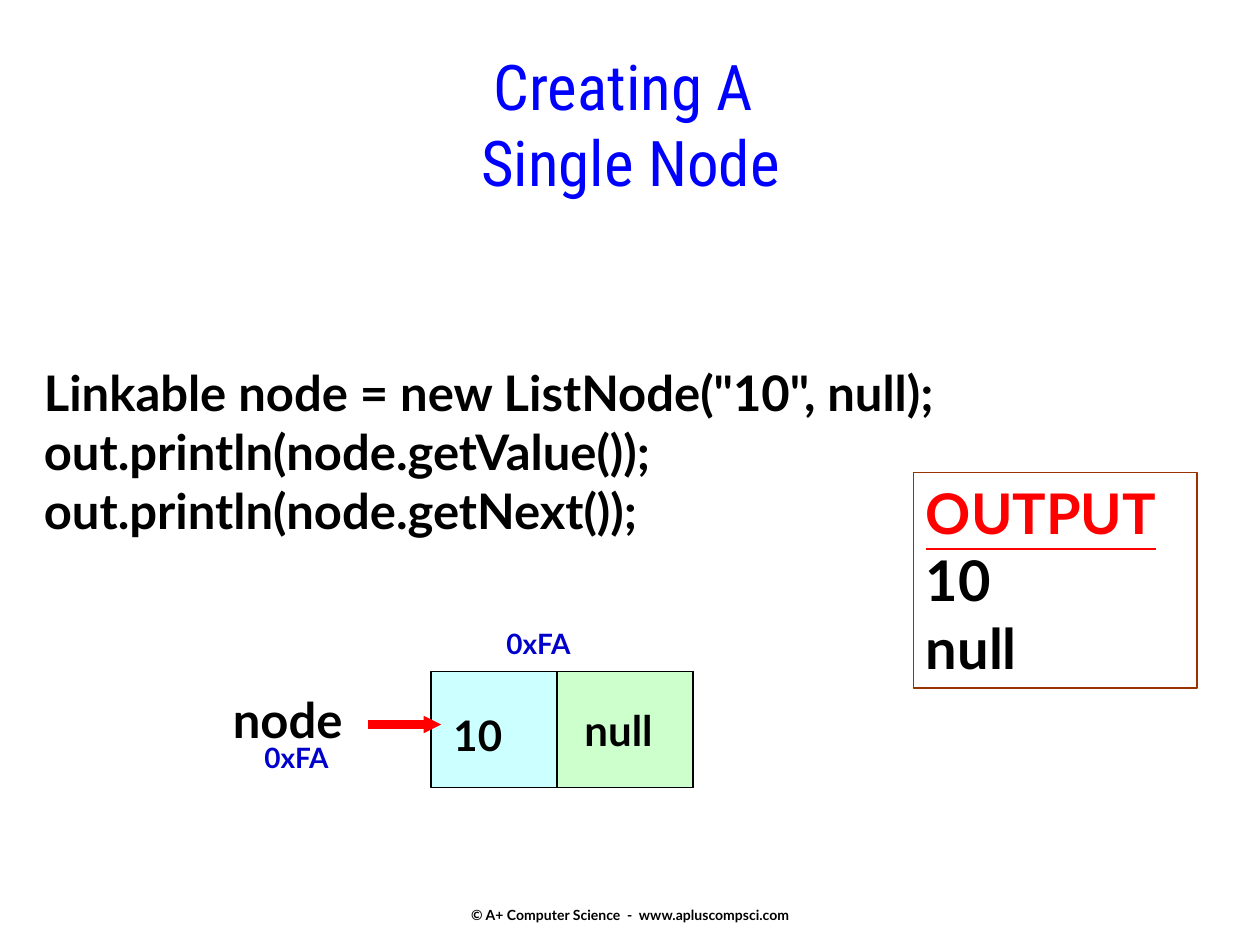
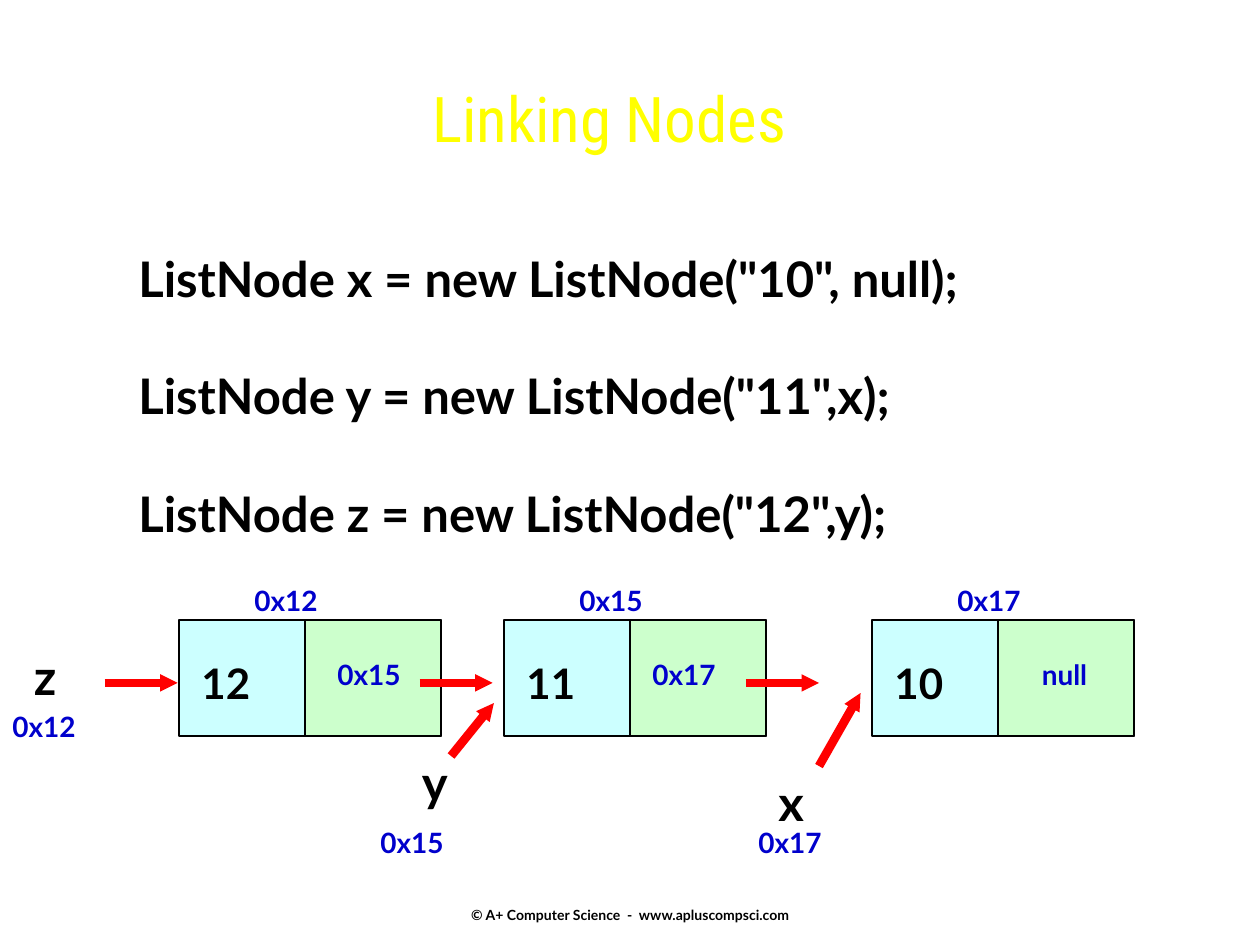
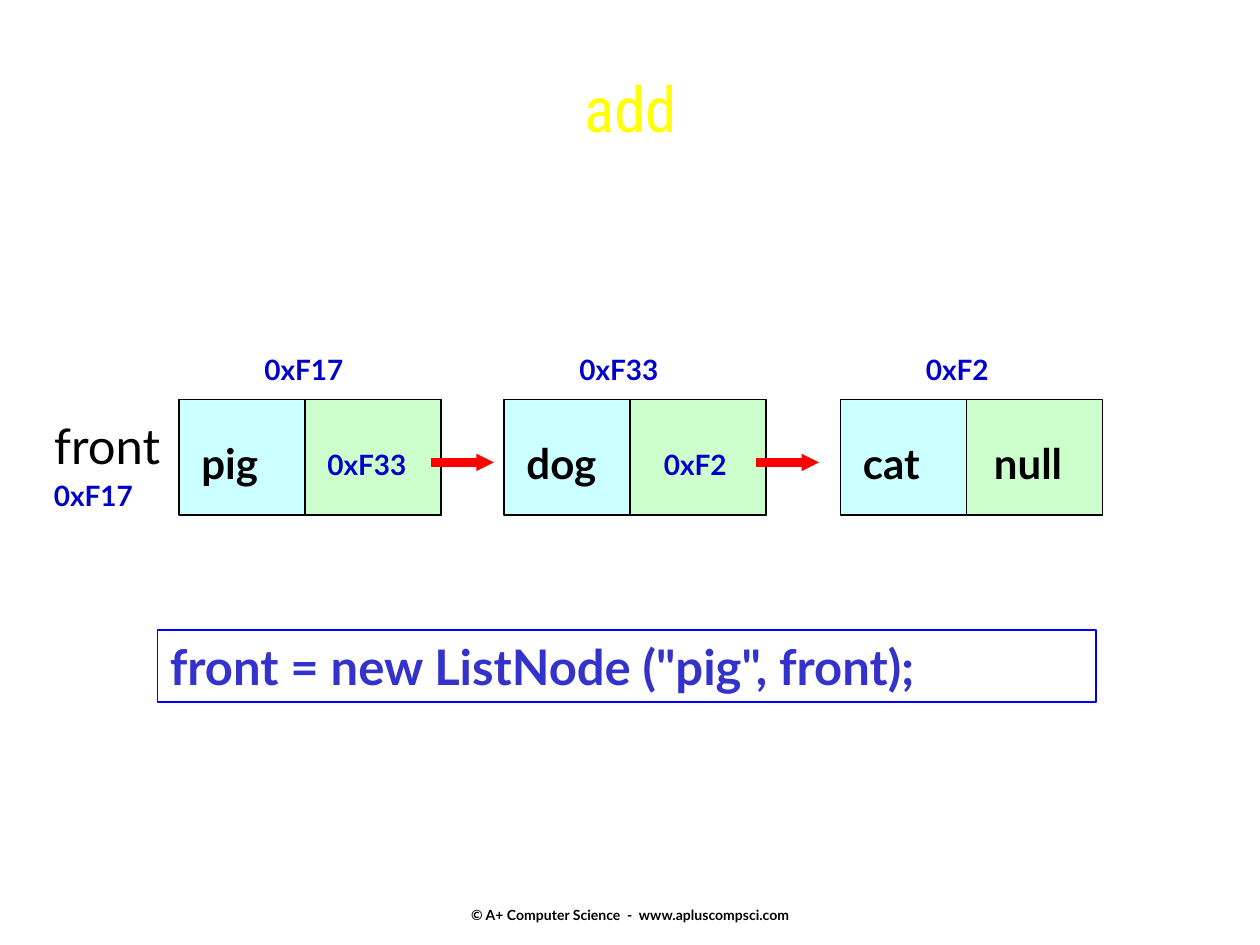
import pptx
import pptx.dml.color
import pptx.enum.shapes
import pptx.enum.text
import pptx.oxml.ns
import pptx.util
from lxml import etree
from pptx.util import Inches

BODY_FONT, TITLE_FONT = "Lato", "Roboto Condensed"
BLACK, BLUE, YELLOW, RED = "000000", "0000FF", "FFFF00", "FF0000"
ADDRESS, CODE, BROWN = "0000CC", "3333CC", "993300"
VALUE_FILL, LINK_FILL = "CCFFFF", "CCFFCC"
FOOTER = "© A+ Computer Science  -  www.apluscompsci.com"
ALIGN = pptx.enum.text.PP_ALIGN
ANCHOR = pptx.enum.text.MSO_ANCHOR
NODE_WIDTH, NODE_HEIGHT, VALUE_WIDTH = 2.08, 0.92, 1


def color(value):
    return pptx.dml.color.RGBColor.from_string(value)


def add_xml(parent, tag, **attributes):
    return etree.SubElement(parent, pptx.oxml.ns.qn(tag), attributes)


# Text
def write(box, lines, size, ink=BLACK, font=BODY_FONT, bold=True,
          align=ALIGN.LEFT, anchor=ANCHOR.TOP, wrap=True, gap=0):
    frame = box.text_frame
    frame.word_wrap = wrap
    frame.auto_size = pptx.enum.text.MSO_AUTO_SIZE.NONE
    frame.vertical_anchor = anchor
    spans = []
    for index, line in enumerate(lines):
        para = frame.add_paragraph() if index else frame.paragraphs[0]
        para.alignment = align
        para.space_before = pptx.util.Pt(gap if index else 0)
        span = para.add_run()
        span.text = line
        span.font.name = font
        span.font.size = pptx.util.Pt(size)
        span.font.bold = bold
        span.font.color.rgb = color(ink)
        spans.append(span)
    return spans


def text_box(slide, left, top, width, height, lines, size, **style):
    box = slide.shapes.add_textbox(
        Inches(left), Inches(top), Inches(width), Inches(height))
    write(box, lines, size, **style)
    return box


def label(slide, left, top, text, size, width=1.08, **style):
    """One line of text in a box just tall enough for it."""
    text_box(slide, left, top, width, size / 60 + 0.1, [text], size, **style)


def address(slide, left, top, text):
    label(slide, left, top, text, 16, ink=ADDRESS)


# Shapes
def rectangle(slide, left, top, width, height, fill=None, line=BLACK):
    shape = slide.shapes.add_shape(
        pptx.enum.shapes.MSO_SHAPE.RECTANGLE,
        Inches(left), Inches(top), Inches(width), Inches(height))
    shape.shadow.inherit = False
    if fill:
        shape.fill.solid()
        shape.fill.fore_color.rgb = color(fill)
    else:
        shape.fill.background()
    shape.line.color.rgb = color(line)
    shape.line.width = pptx.util.Pt(1)
    return shape


def arrow(slide, left, top, right, bottom):
    line = slide.shapes.add_connector(
        pptx.enum.shapes.MSO_CONNECTOR.STRAIGHT,
        Inches(left), Inches(top), Inches(right), Inches(bottom))
    line.line.color.rgb = color(RED)
    line.line.width = pptx.util.Pt(5)
    add_xml(line.line._get_or_add_ln(), "a:tailEnd",
            type="triangle", w="sm", len="sm")
    add_xml(line._element.spPr, "a:effectLst")


def node(slide, left, top, value, link, name, link_at, name_at,
         link_size=16, link_ink=ADDRESS):
    """A list node: value cell, link cell and the address above them."""
    rectangle(slide, left, top, NODE_WIDTH, NODE_HEIGHT, VALUE_FILL)
    rectangle(slide, left + VALUE_WIDTH, top, NODE_WIDTH - VALUE_WIDTH,
              NODE_HEIGHT, LINK_FILL)
    label(slide, left + 0.08, top + 0.25, value, 24, width=0.92)
    label(slide, left + link_at[0], top + link_at[1], link, link_size,
          ink=link_ink)
    address(slide, left + name_at[0], top + name_at[1], name)


# Slide frame: outlined title and footer
def titled_slide(deck, box, lines, opacity=None):
    slide = deck.slides.add_slide(deck.slide_layouts[5])
    title = slide.shapes.title
    title.left, title.top, title.width, title.height = map(Inches, box)
    for span in write(title, lines, 36, ink=BLUE, font=TITLE_FONT, bold=False,
                      align=ALIGN.CENTER, wrap=False):
        props = span._r.get_or_add_rPr()
        if opacity:
            shade = props.find(".//" + pptx.oxml.ns.qn("a:srgbClr"))
            add_xml(shade, "a:alpha", val=str(opacity * 1000))
        outline = add_xml(props, "a:ln", w=str(pptx.util.Pt(0.75)))
        add_xml(add_xml(outline, "a:solidFill"), "a:srgbClr", val=YELLOW)
        props.insert(0, outline)
    footer = text_box(slide, 3.42, 6.83, 3.17, 0.5, [FOOTER], 8,
                      align=ALIGN.CENTER, anchor=ANCHOR.BOTTOM, wrap=False)
    footer.text_frame.margin_bottom = 0
    return slide


def output_panel(slide, left, top):
    panel = rectangle(slide, left, top, 2.25, 1.71, line=BROWN)
    heading = write(panel, ["OUTPUT", "10", "null"], 32)[0]
    heading.font.color.rgb = color(RED)
    heading.font.underline = True


# Slides
def single_node_slide(deck):
    slide = titled_slide(deck, (1.42, 0.33, 7.17, 1.83),
                         ["Creating A ", "Single Node"])
    code = text_box(slide, 0.25, 2.5, 9.75, 2.7, [
        'Linkable node = new ListNode("10", null);',
        "out.println(node.getValue());",
        "out.println(node.getNext());"], 28)
    code.text_frame.margin_top = Inches(0.38)
    node(slide, 3.42, 5.33, "10", "null", "0xFA", (1.12, 0.21), (0.5, -0.41),
         24, BLACK)
    label(slide, 1.75, 5.42, "node", 28, width=1.58)
    address(slide, 2, 5.83, "0xFA")
    arrow(slide, 2.92, 5.75, 3.5, 5.75)
    output_panel(slide, 7.25, 3.75)


def linking_slide(deck):
    slide = titled_slide(deck, (0.92, 0.58, 7.83, 0.92), ["Linking Nodes"], 73)
    text_box(slide, 1, 1.92, 7.81, 2.44, [
        'ListNode x = new ListNode("10", null);',
        'ListNode y = new ListNode("11",x);',
        'ListNode z = new ListNode("12",y);'], 28, gap=33.6)
    for left, value, link, name, link_left, name_left in (
            (1.42, "12", "0x15", "0x12", 1.16, 0.5),
            (4, "11", "0x17", "0x15", 1.08, 0.5),
            (6.92, "10", "null", "0x17", 1.25, 0.58)):
        node(slide, left, 4.92, value, link, name,
             (link_left, 0.25), (name_left, -0.34))
    # Variables and the addresses they hold
    for name, left, top, target, target_left, target_top in (
            ("z", 0.17, 5.08, "0x12", 0, 5.58),
            ("y", 3.25, 5.92, "0x15", 2.92, 6.5),
            ("x", 6.08, 6.08, "0x17", 5.92, 6.5)):
        label(slide, left, top, name, 28, width=1.58)
        address(slide, target_left, target_top, target)
    for left in (0.83, 3.33, 5.92):
        arrow(slide, left, 5.42, left + 0.58, 5.42)
    arrow(slide, 3.58, 6, 3.92, 5.58)
    arrow(slide, 6.5, 6.08, 6.83, 5.5)


def add_slide(deck):
    slide = titled_slide(deck, (1.42, 0.5, 7.17, 1.17), ["add"], 73)
    top = 3.17
    node(slide, 1.42, top, "pig", "0xF33", "0xF17", (1.08, 0.33), (0.58, -0.42))
    node(slide, 4, top, "dog", "0xF2", "0xF33", (1.17, 0.33), (0.5, -0.42))
    node(slide, 6.67, top, "cat", "null", "0xF2", (1.12, 0.25), (0.58, -0.42),
         24, BLACK)
    for left in (3.42, 6):
        arrow(slide, left, top + 0.5, left + 0.5, top + 0.5)
    label(slide, 0.33, 3.25, "front", 28, bold=False)
    address(slide, 0.33, 3.75, "0xF17")
    statement = rectangle(slide, 1.25, 5, 7.45, 0.57, line=BLUE)
    write(statement, ['front = new ListNode ("pig", front);'], 28, ink=CODE)


def main():
    deck = pptx.Presentation()
    deck.slide_width, deck.slide_height = Inches(10), Inches(7.5)
    single_node_slide(deck)
    linking_slide(deck)
    add_slide(deck)
    deck.save("out.pptx")


if __name__ == "__main__":
    main()
